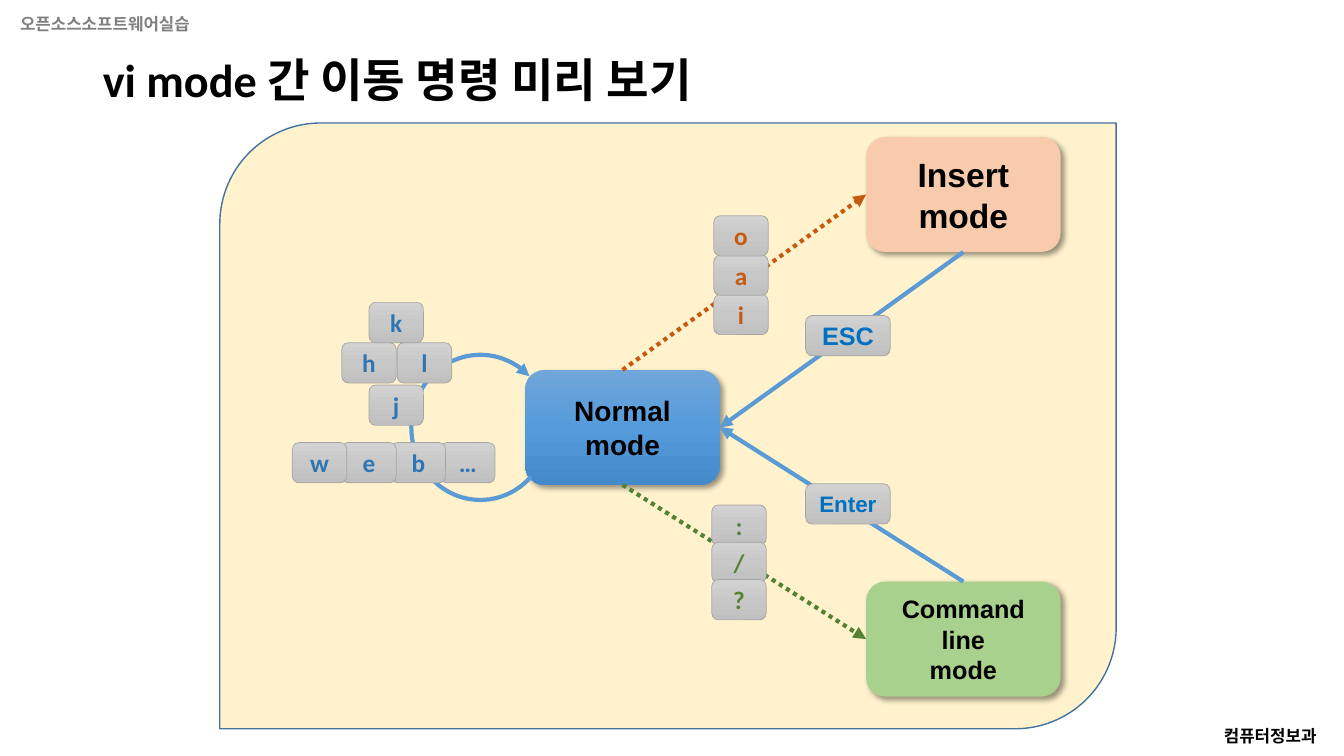
from collections import namedtuple
from copy import deepcopy
from dataclasses import dataclass

from lxml import etree
from pptx import Presentation
from pptx.dml.color import RGBColor
from pptx.enum.dml import MSO_LINE
from pptx.enum.shapes import MSO_CONNECTOR, MSO_SHAPE
from pptx.enum.text import MSO_ANCHOR, MSO_AUTO_SIZE, PP_ALIGN
from pptx.oxml.ns import qn
from pptx.util import Inches, Pt

DOTTED = MSO_LINE.ROUND_DOT
STRAIGHT = MSO_CONNECTOR.STRAIGHT
ROUND_RECT = MSO_SHAPE.ROUNDED_RECTANGLE
PANEL_SHAPE = MSO_SHAPE.ROUND_2_DIAG_RECTANGLE
ARC = MSO_SHAPE.ARC
MIDDLE = MSO_ANCHOR.MIDDLE
NO_FIT = MSO_AUTO_SIZE.NONE
LEFT, CENTER = PP_ALIGN.LEFT, PP_ALIGN.CENTER
TOP_SIDE, LEFT_SIDE, BOTTOM_SIDE, RIGHT_SIDE = range(4)

GRID = Inches(0.1)
KEY_W, KEY_H = 5.4, 4
MODE_W, MODE_H = 19.3, 11.4


@dataclass(frozen=True)
class Theme:
    """Colours, fonts and type sizes of the slide."""
    latin: str = "Calibri"
    sans: str = "Arial"
    ink: str = "000000"
    muted: str = "808080"
    panel: str = "FFF2CC"
    panel_line: str = "43739E"
    normal: tuple = ("71A6DB", "559BDB", "448ACA")
    insert: str = "F8CBAD"
    command: str = "A9D18E"
    key: tuple = ("D2D2D2", "C8C8C8", "C0C0C0")
    key_line: str = "A5A5A5"
    arrow: str = "5B9BD5"
    to_insert: str = "C55A11"
    to_command: str = "548235"
    back: str = "0070C0"
    move: str = "2E75B6"
    title: int = 33
    large: int = 24
    medium: int = 20
    body: int = 18
    small: int = 16
    label: int = 12


T = Theme()
Box = namedtuple("Box", "x y w h")


def within(box, x, y, w, h):
    """Return a box offset from the corner of another, in grid units."""
    return Box(box.x + x, box.y + y, w, h)


def emu(box):
    """Convert grid units to slide lengths."""
    return [round(v * GRID) for v in box]


def write(tf, text, size=T.body, color=T.ink, font=T.latin, align=CENTER,
          anchor=MIDDLE, wrap=True, spacing=None):
    """Fill a text frame with bold text, one paragraph per line."""
    tf.auto_size = NO_FIT
    tf.word_wrap = wrap
    tf.vertical_anchor = anchor
    for i, line in enumerate(text.split("\n")):
        p = tf.add_paragraph() if i else tf.paragraphs[0]
        p.alignment = align
        p.line_spacing = spacing
        r = p.add_run()
        r.text = line
        r.font.name, r.font.size, r.font.bold = font, Pt(size), True
        r.font.color.rgb = RGBColor.from_string(color)


def paint(sp, fill):
    """Apply a solid colour or a downward gradient of three colours."""
    if isinstance(fill, str):
        sp.fill.solid()
        sp.fill.fore_color.rgb = RGBColor.from_string(fill)
        return
    sp.fill.gradient()
    sp.fill.gradient_angle = 270
    stops = sp._element.spPr.find(".//" + qn("a:gsLst"))
    stops.append(deepcopy(stops[0]))
    for i, (stop, color) in enumerate(zip(sp.fill.gradient_stops, fill)):
        stop.position = i / 2
        stop.color.rgb = RGBColor.from_string(color)


def outline(line, color, width):
    """Set the colour and width of a line."""
    line.color.rgb = RGBColor.from_string(color)
    line.width = Pt(width)


def add_arrowhead(line):
    """Put a triangle at the end of a line."""
    etree.SubElement(line._get_or_add_ln(), qn("a:tailEnd"), type="triangle")


def add_block(s, kind, box, fill, line=None, width=1):
    """Add a filled preset shape without a shadow."""
    sp = s.shapes.add_shape(kind, *emu(box))
    sp.shadow.inherit = False
    paint(sp, fill)
    if line:
        outline(sp.line, line, width)
    else:
        sp.line.fill.background()
    return sp


def add_mode(s, box, text, fill, size):
    """Add a mode box with a soft shadow."""
    sp = add_block(s, ROUND_RECT, box, fill)
    effects = sp._element.spPr.find(qn("a:effectLst"))
    shadow = etree.SubElement(effects, qn("a:outerShdw"), blurRad=str(Pt(4)),
                              dist=str(Pt(3)), dir="2700000", algn="tl",
                              rotWithShape="0")
    black = etree.SubElement(shadow, qn("a:srgbClr"), val=T.ink)
    etree.SubElement(black, qn("a:alpha"), val="40000")
    write(sp.text_frame, text, size=size, font=T.sans)
    return sp


def add_key(s, box, text, **fmt):
    """Add a keyboard key."""
    sp = add_block(s, ROUND_RECT, box, T.key, T.key_line, 0.5)
    write(sp.text_frame, text, **fmt)


def add_keys(s, box, letters, step, color):
    """Add a run of overlapping keys, one step apart, from the given box."""
    for i, letter in enumerate(letters):
        add_key(s, within(box, i * step[0], i * step[1], KEY_W, KEY_H),
                letter, color=color)


def join(s, start, start_side, end, end_side, color=T.arrow, dash=None):
    """Connect the sides of two modes with an arrow."""
    c = s.shapes.add_connector(STRAIGHT, 0, 0, 0, 0)
    c.begin_connect(start, start_side)
    c.end_connect(end, end_side)
    outline(c.line, color, 3)
    if dash:
        c.line.dash_style = dash
    add_arrowhead(c.line)
    etree.SubElement(c._element.spPr, qn("a:effectLst"))


def add_loop(s, box):
    """Add the arc that leaves Normal mode and returns to it."""
    sp = s.shapes.add_shape(ARC, *emu(box))
    sp.shadow.inherit = False
    sp.adjustments[0], sp.adjustments[1] = 26.63, 188.33
    sp.fill.background()
    outline(sp.line, T.arrow, 3)
    add_arrowhead(sp.line)


def add_label(s, box, text, color):
    """Add a small course label."""
    tb = s.shapes.add_textbox(*emu(box))
    write(tb.text_frame, text, size=T.label, color=color, align=LEFT, wrap=False)


def add_title(s, box, text):
    """Place and fill the title placeholder."""
    sp = s.shapes.title
    sp.left, sp.top, sp.width, sp.height = emu(box)
    write(sp.text_frame, text, size=T.title, align=LEFT, spacing=0.9)


def add_diagram(s, box):
    """Draw the three modes and the keys that move between them."""
    add_block(s, PANEL_SHAPE, box, T.panel, T.panel_line)
    normal, insert, command = [
        add_mode(s, within(box, x, y, MODE_W, MODE_H), text, fill, size)
        for x, y, text, fill, size in (
            (30.3, 24.5, "Normal\nmode", T.normal, T.medium),
            (64.1, 1.4, "Insert\nmode", T.insert, T.large),
            (64.1, 45.5, "Command line\nmode", T.command, T.body))]
    join(s, insert, BOTTOM_SIDE, normal, RIGHT_SIDE)
    join(s, normal, TOP_SIDE, insert, LEFT_SIDE, T.to_insert, DOTTED)
    join(s, command, TOP_SIDE, normal, RIGHT_SIDE)
    join(s, normal, BOTTOM_SIDE, command, LEFT_SIDE, T.to_command, DOTTED)
    add_loop(s, within(box, 19, 23, 13.7, 14.4))
    for y, text, size in ((19.1, "ESC", T.body), (35.8, "Enter", T.small)):
        add_key(s, within(box, 58.1, y, 8.4, KEY_H), text,
                size=size, color=T.back, font=T.sans)
    for x, y, letters, step, color in (
            (49, 17, "iao", (0, -3.9), T.to_insert),
            (48.8, 37.9, ":/?", (0, 3.7), T.to_command),
            (21.9, 31.7, "…bew", (-4.9, 0), T.move),
            (17.6, 21.8, "lh", (-5.5, 0), T.move),
            (14.8, 26, "jk", (0, -8.2), T.move)):
        add_keys(s, within(box, x, y, KEY_W, KEY_H), letters, step, color)


def main():
    """Build and save the slide."""
    prs = Presentation()
    prs.slide_width, prs.slide_height = Inches(13.33), Inches(7.5)
    s = prs.slides.add_slide(prs.slide_layouts[5])
    add_label(s, Box(120.4, 71.5, 12.1, 3), "컴퓨터정보과", T.ink)
    add_label(s, Box(1, 0.9, 20.5, 3), "오픈소스소프트웨어실습", T.muted)
    add_title(s, Box(9.2, 4, 115, 8.4), "vi mode 간 이동 명령 미리 보기")
    add_diagram(s, Box(21.8, 12.2, 88.9, 60.1))
    prs.save("out.pptx")


if __name__ == "__main__":
    main()
